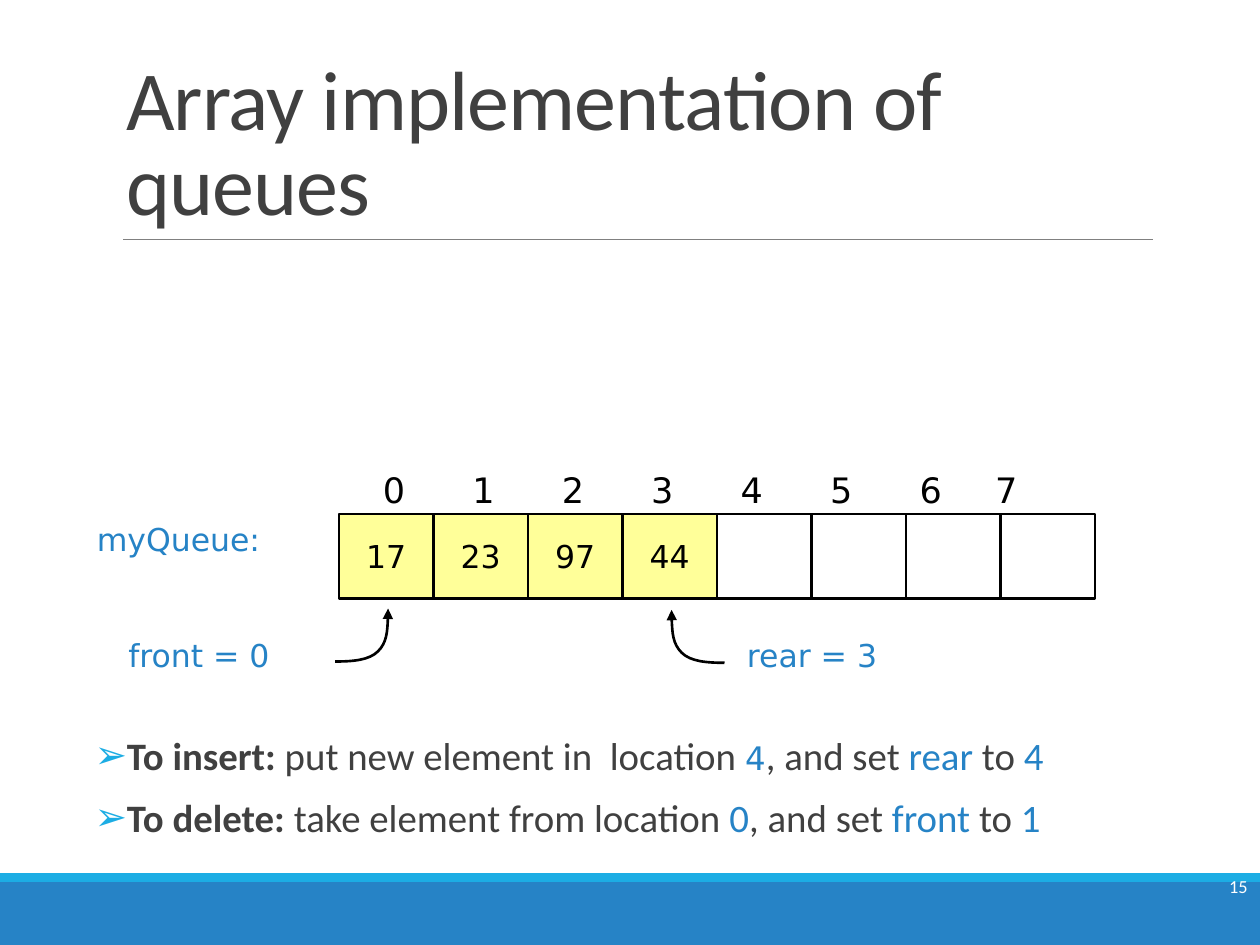
from lxml import etree
from pptx import Presentation, util as u
from pptx.dml.color import RGBColor
from pptx.enum import shapes, text
from pptx.oxml import ns

BLUE, CYAN, DARK, BLACK, WHITE = "2683C6", "1CADE4", "404040", "000000", "FFFFFF"
YELLOW, GRAY = "FFFF99", "808080"
BODY_FONT, DIAGRAM_FONT = "Calibri", "DejaVu Sans"


def rgb(value):
    """Turn a hex string into a colour."""
    return RGBColor.from_string(value)


def child(parent, tag, **attrs):
    """Append a DrawingML element."""
    return etree.SubElement(parent, ns.qn("a:" + tag), attrs)


def add_run(p, value, size=18, color=BLUE, font=DIAGRAM_FONT, bold=False):
    """Append a formatted run to a paragraph."""
    r = p.add_run()
    r.text = value
    r.font.size, r.font.name, r.font.bold = u.Pt(size), font, bold
    r.font.color.rgb = rgb(color)
    return r


class Slide:
    """Holds the current slide and its drawing style."""

    def __init__(self, prs):
        """Add a title-only slide."""
        self.slide = prs.slides.add_slide(prs.slide_layouts[5])
        self.shapes = self.slide.shapes
        self.line_width = 1.5

    def title(self, value, x, y, w, h):
        """Place and format the title."""
        s = self.shapes.title
        s.left, s.top, s.width, s.height = map(u.Inches, (x, y, w, h))
        tf = s.text_frame
        tf.word_wrap, tf.auto_size = True, text.MSO_AUTO_SIZE.NONE
        tf.vertical_anchor = text.MSO_ANCHOR.BOTTOM
        p = tf.paragraphs[0]
        p.alignment, p.line_spacing = text.PP_ALIGN.LEFT, 0.85
        r = add_run(p, value, 48, DARK, BODY_FONT)
        r._r.get_or_add_rPr().set("spc", "-50")

    def rect(self, x, y, w, h, fill=None, line=None, label=""):
        """Draw a rectangle with an optional centred label."""
        s = self.shapes.add_shape(shapes.MSO_SHAPE.RECTANGLE, *map(u.Inches, (x, y, w, h)))
        s.shadow.inherit = False
        if fill:
            s.fill.solid()
            s.fill.fore_color.rgb = rgb(fill)
        else:
            s.fill.background()
        if line:
            s.line.color.rgb, s.line.width = rgb(line), u.Pt(self.line_width)
        else:
            s.line.fill.background()
        if label:
            tf = s.text_frame
            tf.word_wrap, tf.vertical_anchor = False, text.MSO_ANCHOR.MIDDLE
            p = tf.paragraphs[0]
            p.alignment = text.PP_ALIGN.CENTER
            add_run(p, label, color=BLACK)

    def box(self, x, y, w, h):
        """Add a wrapping text box and return its frame."""
        tf = self.shapes.add_textbox(*map(u.Inches, (x, y, w, h))).text_frame
        tf.word_wrap = True
        return tf

    def label(self, value, x, y, w, h, **style):
        """Write one line of text and return its paragraph."""
        p = self.box(x, y, w, h).paragraphs[0]
        add_run(p, value, **style)
        return p

    def tabbed(self, values, stops, *place, **style):
        """Write values in one line, separated by tab stops."""
        p = self.label("\t".join(values), *place, **style)
        tabs = child(p._p.get_or_add_pPr(), "tabLst")
        for stop in stops:
            child(tabs, "tab", pos=str(u.Inches(stop)), algn="l")

    def bullets(self, items, x, y, w, h):
        """Write bulleted paragraphs made of formatted runs."""
        tf = self.box(x, y, w, h)
        tf.margin_left = tf.margin_right = 0
        for i, runs in enumerate(items):
            p = tf.add_paragraph() if i else tf.paragraphs[0]
            pPr = p._p.get_or_add_pPr()
            pPr.set("marL", str(u.Inches(0.1)))
            pPr.set("indent", str(-u.Inches(0.1)))
            child(child(pPr, "buClr"), "srgbClr", val=CYAN)
            child(pPr, "buFont", typeface=DIAGRAM_FONT)
            child(pPr, "buChar", char="➢")
            p.line_spacing, p.space_after = 0.8, u.Pt(2)
            if i:
                p.space_before = u.Pt(12)
            for value, style in runs:
                add_run(p, value, **{"size": 22.2, "color": DARK, "font": BODY_FONT, **style})

    def rule(self, x1, y1, x2, y2, color, width):
        """Draw a straight line."""
        s = self.shapes.add_connector(
            shapes.MSO_CONNECTOR.STRAIGHT, *map(u.Inches, (x1, y1, x2, y2)))
        s.line.color.rgb, s.line.width = rgb(color), u.Pt(width)
        child(s._element.spPr, "effectLst")

    def curved_arrow(self, x, y, direction):
        """Draw a Bezier arrow that bends upwards."""
        offsets = ((0.14, 0), (0.27, -0.01), (0.34, -0.08),
                   (0.41, -0.15), (0.42, -0.28), (0.42, -0.42))
        points = [(u.Inches(x + direction * dx), u.Inches(y + dy)) for dx, dy in offsets]
        builder = self.shapes.build_freeform(u.Inches(x), u.Inches(y))
        builder.add_line_segments(points, close=False)
        s = builder.convert_to_shape()
        s.shadow.inherit = False
        s.fill.background()
        s.line.color.rgb, s.line.width = rgb(BLACK), u.Pt(self.line_width)
        child(s._element.spPr.find(ns.qn("a:ln")), "tailEnd", type="triangle")
        outline = next(s._element.iter(ns.qn("a:path")))
        segments = outline.findall(ns.qn("a:lnTo"))
        for start in range(0, len(segments), 3):
            curve = child(outline, "cubicBezTo")
            for segment in segments[start:start + 3]:
                curve.append(segment[0])
                outline.remove(segment)


def main():
    """Build the queue slide."""
    prs = Presentation()
    prs.slide_width, prs.slide_height = u.Inches(10), u.Inches(7.5)
    page = Slide(prs)
    page.rect(0, 7, 10, 0.5, BLUE)
    page.rect(0, 6.93, 10, 0.07, CYAN)
    page.rule(0.98, 1.9, 9.15, 1.9, GRAY, 0.5)
    page.title("Array implementation of queues", 0.9, 0.31, 8.25, 1.59)
    number = page.label("15", 7.29, 6.9, 2.71, 0.26, size=10.5, color=WHITE, font=BODY_FONT)
    number.alignment = text.PP_ALIGN.RIGHT

    blue = {"color": BLUE}
    page.bullets([
        [("To insert:", {"bold": True}), (" put new element in  location ", {}),
         ("4", {"color": BLUE, "size": 18.5, "font": DIAGRAM_FONT}), (", and set ", {}),
         ("rear", blue), (" to ", {}), ("4", blue)],
        [("To delete:", {"bold": True}), (" take element from location ", {}),
         ("0", blue), (", and set ", {}), ("front", blue), (" to ", {}), ("1", blue)],
    ], 0.75, 5.83, 9.08, 0.92)

    cell_w = 0.75
    for i, value in enumerate(["17", "23", "97", "44", "", "", "", ""]):
        page.rect(2.69 + i * cell_w, 4.08, cell_w, 0.67, YELLOW if value else None, BLACK, value)
    stops = [0.71 * i for i in range(1, 7)] + [4.86]
    page.tabbed("01234567", stops, 2.94, 3.67, 5.81, 0.43, size=20, color=BLACK)

    page.label("myQueue:", 0.67, 4.08, 1.96, 0.5)
    page.label("front = 0", 0.92, 5, 1.83, 0.5)
    page.label("rear = 3", 5.83, 5, 1.83, 0.5)
    page.curved_arrow(2.66, 5.25, 1)
    page.curved_arrow(5.75, 5.26, -1)
    prs.save("out.pptx")


if __name__ == "__main__":
    main()
